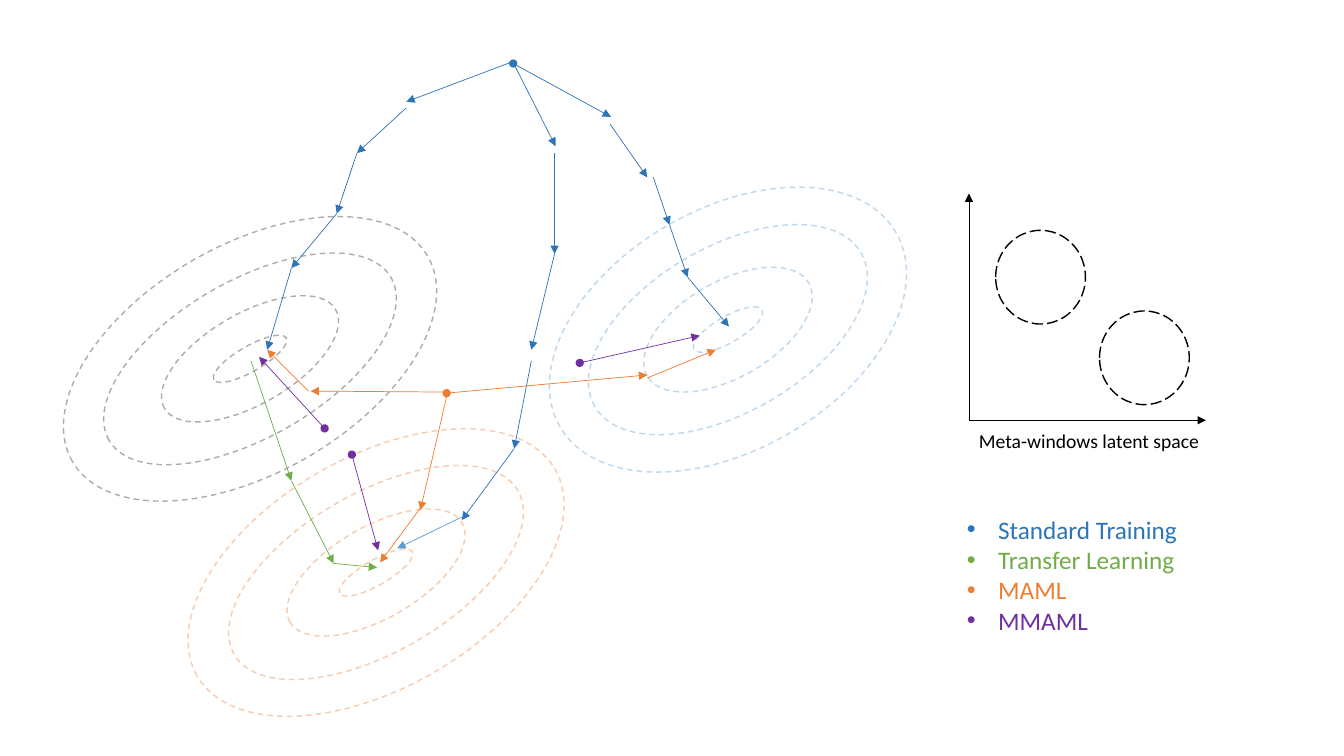
from itertools import pairwise

from lxml.etree import SubElement
from pptx import Presentation
from pptx.dml.color import RGBColor
from pptx.enum.dml import MSO_LINE
from pptx.enum.shapes import MSO_CONNECTOR, MSO_SHAPE
from pptx.enum.text import MSO_ANCHOR, MSO_AUTO_SIZE
from pptx.oxml.ns import qn
from pptx.util import Inches, Pt

COLORS = {
    "standard": "2E75B6",
    "standard_end": "5B9BD5",
    "transfer": "70AD47",
    "maml": "ED7D31",
    "mmaml": "7030A0",
    "grey_basin": "AFABAB",
    "blue_basin": "BDD7EE",
    "orange_basin": "F8CBAD",
    "black": "000000",
}

# Basin colour, common centre, and ring sizes from the inside out
BASINS = [
    ("grey_basin", (2.48, 3.56),
     [(0.83, 0.25), (1.96, 0.9), (3.23, 1.55), (4.07, 2.26)]),
    ("blue_basin", (7.22, 3.27),
     [(0.78, 0.26), (1.85, 0.95), (3.05, 1.64), (3.85, 2.39)]),
    ("orange_basin", (3.73, 5.68),
     [(0.83, 0.25), (1.97, 0.91), (3.25, 1.58), (4.1, 2.29)]),
]

# Each route is a chain of arrows through its points
ROUTES = [
    ("standard", [(5.09, 0.61), (4.03, 1.01)]),
    ("standard", [(4.03, 1.07), (3.54, 1.52), (3.34, 2.12), (2.89, 2.66),
                  (2.65, 3.47)]),
    ("standard", [(5.09, 0.63), (6.06, 1.16)]),
    ("standard", [(6.05, 1.23), (6.42, 1.76)]),
    ("standard", [(6.48, 1.76), (6.64, 2.23), (6.82, 2.75), (7.23, 3.24)]),
    ("standard", [(5.09, 0.62), (5.51, 1.45)]),
    ("standard", [(5.5, 1.52), (5.5, 2.52), (5.27, 3.47)]),
    ("standard", [(5.27, 3.58), (5.1, 4.45), (4.58, 5.16)]),
    ("standard_end", [(4.58, 5.13), (3.94, 5.44)]),
    ("maml", [(4.46, 3.89), (3.08, 3.88)]),
    ("maml", [(3.06, 3.88), (2.65, 3.47)]),
    ("maml", [(4.43, 3.9), (6.42, 3.72)]),
    ("maml", [(6.42, 3.75), (7.1, 3.47)]),
    ("maml", [(4.44, 3.89), (4.17, 5.06)]),
    ("maml", [(4.17, 5.04), (3.77, 5.58)]),
    ("transfer", [(2.49, 3.58), (2.89, 4.77), (3.31, 5.59), (3.74, 5.63)]),
    ("mmaml", [(3.22, 4.25), (2.57, 3.54)]),
    ("mmaml", [(5.75, 3.6), (6.94, 3.33)]),
    ("mmaml", [(3.49, 4.51), (3.75, 5.46)]),
]
DOTTED_STARTS = {(5.09, 0.63), (4.43, 3.9), (3.22, 4.25), (5.75, 3.6), (3.49, 4.51)}

LEGEND = [
    ("Standard Training", "standard"),
    ("Transfer Learning", "transfer"),
    ("MAML", "maml"),
    ("MMAML", "mmaml"),
]


def rgb(color):
    return RGBColor.from_string(COLORS[color])


def set_attributes(target, values):
    for name, value in values.items():
        setattr(target, name, value)


def add_arrow(slide, start, end, color, dotted=False):
    arrow = slide.shapes.add_connector(
        MSO_CONNECTOR.STRAIGHT, *map(Inches, (*start, *end)))
    arrow.line.color.rgb = rgb(color)
    arrow.line.width = Pt(0.5)
    properties = arrow._element.spPr
    outline = properties.find(qn("a:ln"))
    if dotted:
        SubElement(outline, qn("a:headEnd"), type="oval")
    SubElement(outline, qn("a:tailEnd"), type="triangle")
    SubElement(properties, qn("a:effectLst"))


def add_ring(slide, center, size, color, dash, rotation=0):
    (x, y), (width, height) = center, size
    ring = slide.shapes.add_shape(
        MSO_SHAPE.OVAL,
        *map(Inches, (x - width / 2, y - height / 2, width, height)))
    ring.shadow.inherit = False
    ring.fill.background()
    ring.line.color.rgb = rgb(color)
    set_attributes(ring.line, {"width": Pt(1), "dash_style": dash})
    ring.rotation = rotation


def draw_loss_landscape(slide, left, top):
    def place(point):
        return left + point[0], top + point[1]

    for color, center, sizes in BASINS:
        for size in sizes:
            add_ring(slide, place(center), size, color, MSO_LINE.DASH, 330)
    for color, points in ROUTES:
        for start, end in pairwise(points):
            add_arrow(slide, place(start), place(end), color, start in DOTTED_STARTS)


def draw_latent_space(slide, left, top, width, height):
    origin = (left, top + height)
    add_arrow(slide, origin, (left, top), "black")
    add_arrow(slide, origin, (left + width, top + height), "black")
    for x, y in [(1.74, 1.63), (0.71, 0.83)]:
        add_ring(slide, (left + x, top + y), (0.89, 0.93), "black", MSO_LINE.LONG_DASH)

    caption = slide.shapes.add_textbox(
        *map(Inches, (left, top + height + 0.04, 3.37, 0.34))).text_frame
    caption.word_wrap = True
    caption.text = "Meta-windows latent space"
    font = caption.paragraphs[0].font
    set_attributes(font, {"size": Pt(14), "name": "Calibri"})
    font.color.rgb = rgb("black")


def fill_legend(placeholder, left, top, width, height):
    box = {"left": left, "top": top, "width": width, "height": height}
    set_attributes(placeholder, {side: Inches(value) for side, value in box.items()})
    frame = placeholder.text_frame
    set_attributes(frame, {"word_wrap": True, "auto_size": MSO_AUTO_SIZE.NONE,
                           "vertical_anchor": MSO_ANCHOR.TOP})
    frame.text = "\n".join(label for label, _ in LEGEND)
    for paragraph, (_, color) in zip(frame.paragraphs, LEGEND):
        indents = paragraph._p.get_or_add_pPr()
        indents.set("marL", str(Inches(0.31)))
        indents.set("indent", str(Inches(-0.31)))
        set_attributes(paragraph, {"space_before": Pt(0), "line_spacing": 1.0})
        font = paragraph.runs[0].font
        set_attributes(font, {"size": Pt(18), "name": "Calibri"})
        font.color.rgb = rgb(color)


def main():
    presentation = Presentation()
    presentation.slide_width = Inches(13.33)
    presentation.slide_height = Inches(7.5)
    slide = presentation.slides.add_slide(presentation.slide_layouts[1])
    title = slide.shapes.title._element
    title.getparent().remove(title)

    draw_loss_landscape(slide, 0, 0)
    draw_latent_space(slide, 9.61, 1.92, 2.35, 2.25)
    fill_legend(slide.placeholders[1], 9.49, 5.05, 3.8, 2.23)
    presentation.save("out.pptx")


if __name__ == "__main__":
    main()
